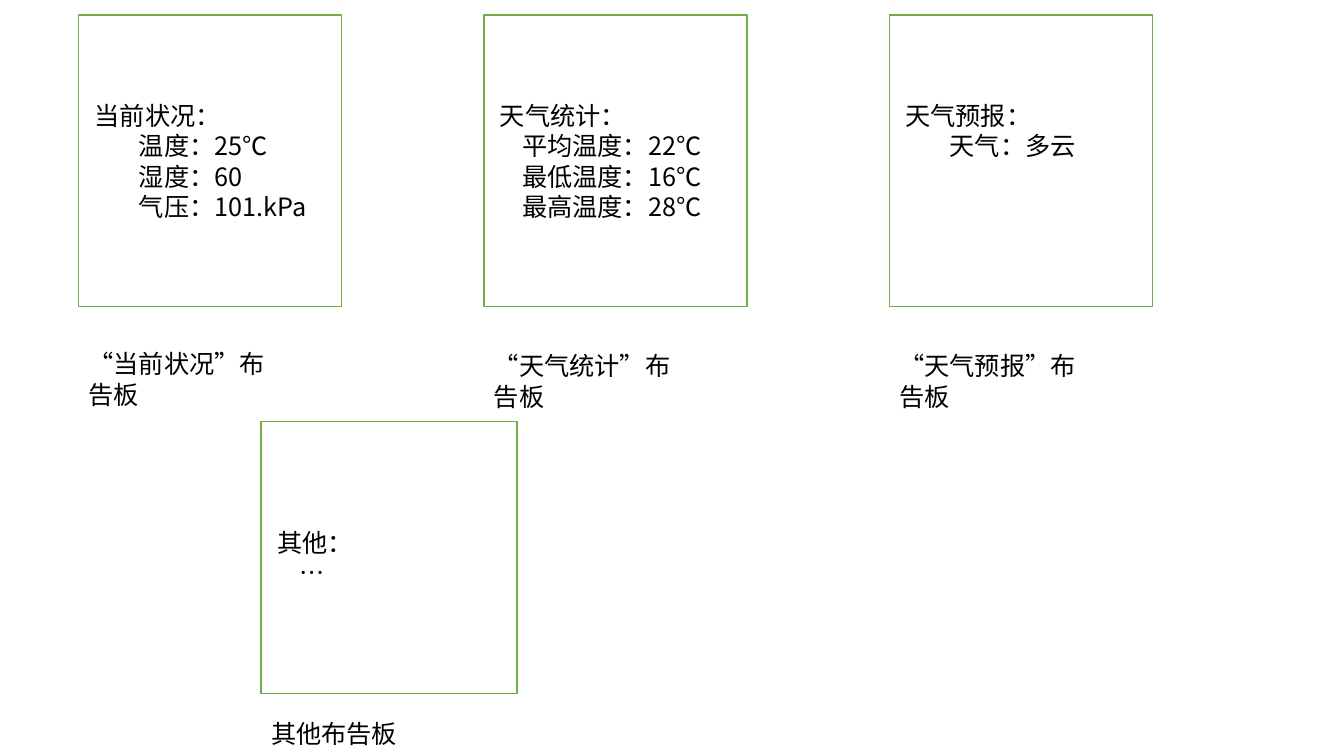
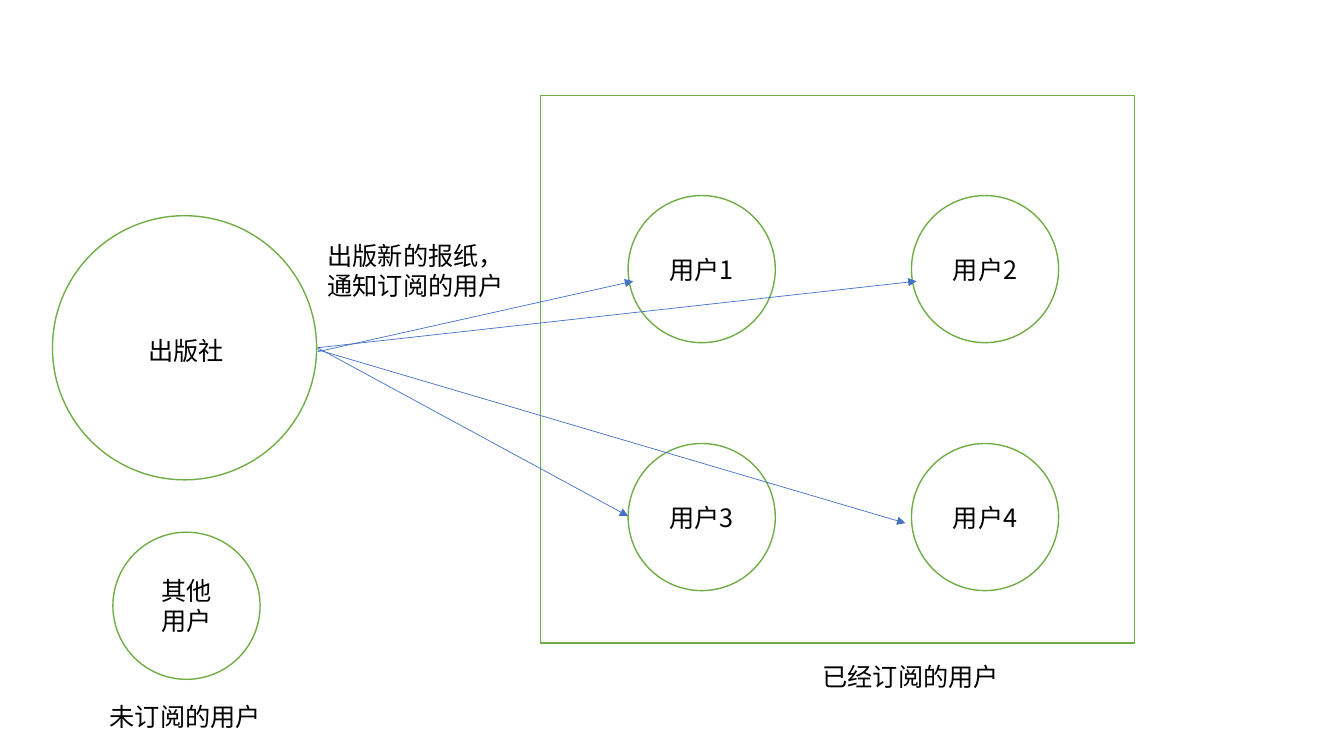
"""Build two slides on the observer pattern: weather boards and newspaper subscribers."""
from lxml import etree
from pptx import Presentation
from pptx.dml.color import RGBColor
from pptx.enum.dml import MSO_LINE
from pptx.enum.shapes import MSO_CONNECTOR, MSO_SHAPE
from pptx.enum.text import MSO_ANCHOR, PP_ALIGN
from pptx.oxml.ns import qn
from pptx.util import Inches, Pt

RECTANGLE, OVAL = MSO_SHAPE.RECTANGLE, MSO_SHAPE.OVAL
STRAIGHT, SOLID = MSO_CONNECTOR.STRAIGHT, MSO_LINE.SOLID
TOP, MIDDLE = MSO_ANCHOR.TOP, MSO_ANCHOR.MIDDLE
LEFT, CENTER = PP_ALIGN.LEFT, PP_ALIGN.CENTER
COLORS = {name: RGBColor.from_string(value) for name, value in {
    "paper": "FFFFFF", "outline": "70AD47", "arrow": "4472C4", "text": "000000"}.items()}
FONT = "Noto Sans CJK SC"
FONT_SIZE = Pt(18)
LINE_HEIGHT = 0.3
LABEL_HEIGHT = 0.4


def write(shape, lines, alignment=LEFT, anchor=TOP, indents=(0, 0)):
    frame = shape.text_frame
    frame.word_wrap = True
    frame.vertical_anchor = anchor
    frame.text = "\n".join(lines)
    for index, paragraph in enumerate(frame.paragraphs):
        paragraph.alignment = alignment
        paragraph._p.get_or_add_pPr().set("marL", str(Inches(indents[min(index, 1)])))
        for run in paragraph.runs:
            run.font.size = FONT_SIZE
            run.font.name = FONT
            run.font.color.rgb = COLORS["text"]
            etree.SubElement(run._r.get_or_add_rPr(), qn("a:ea"), typeface=FONT)


def add_outline(shapes, kind, left, top, width, height):
    shape = shapes.add_shape(kind, Inches(left), Inches(top), Inches(width), Inches(height))
    shape.shadow.inherit = False
    shape.fill.solid()
    shape.fill.fore_color.rgb = COLORS["paper"]
    shape.line.color.rgb = COLORS["outline"]
    shape.line.width = Pt(1)
    return shape


presentation = Presentation()
presentation.slide_width, presentation.slide_height = Inches(13.33), Inches(7.5)
blank = presentation.slide_layouts[6]
boards_slide, users_slide = [presentation.slides.add_slide(blank) for _ in range(2)]

BOARD_LEFT, BOARD_STEP, BOARD_TOP = 0.78, 4.02, 0.15
BOARD_SIZE = (2.61, 2.89)
boards = [
    (BOARD_LEFT, BOARD_TOP, BOARD_SIZE, 0.5, 0,
     ["当前状况：", "温度：25℃", "湿度：60", "气压：101.kPa"], "“当前状况”布告板", 3.41, 2.15),
    (BOARD_LEFT + BOARD_STEP, BOARD_TOP, BOARD_SIZE, 0.28, 0,
     ["天气统计：", "平均温度：22℃", "最低温度：16℃", "最高温度：28℃"], "“天气统计”布告板", 3.43, 2.15),
    (BOARD_LEFT + 2 * BOARD_STEP, BOARD_TOP, BOARD_SIZE, 0.5, 2,
     ["天气预报：", "天气：多云"], "“天气预报”布告板", 3.43, 2.15),
    (2.59, 4.18, (2.54, 2.7), 0.28, 0, ["其他：", "…"], "其他布告板", 7.08, 1.46),
]
labels = []
for left, top, size, indent, spare_lines, lines, caption, caption_top, caption_width in boards:
    board = add_outline(boards_slide.shapes, RECTANGLE, left, top, *size)
    write(board, lines, anchor=MIDDLE, indents=(0.06, indent))
    board.text_frame.margin_bottom = Inches(0.05 + spare_lines * LINE_HEIGHT)
    labels.append((boards_slide.shapes, caption, left, caption_top, caption_width, LABEL_HEIGHT))

publisher = users_slide.shapes.add_group_shape()
add_outline(publisher.shapes, OVAL, 0.52, 2.14, 2.62, 2.62)

USER_SIZE = 1.46
USER_LEFTS, USER_TOPS = (6.23, 9.04), (1.94, 4.4)
subscribers = users_slide.shapes.add_group_shape()
add_outline(subscribers.shapes, RECTANGLE, 5.36, 0.95, 5.89, 5.43)
users = [(subscribers.shapes, [f"用户{2 * row + column + 1}"], left, top)
         for row, top in enumerate(USER_TOPS) for column, left in enumerate(USER_LEFTS)]
users.append((users_slide.shapes, ["其他", "用户"], 1.12, 5.28))
for shapes, lines, left, top in users:
    user = add_outline(shapes, OVAL, left, top, USER_SIZE, USER_SIZE)
    write(user, lines, CENTER, MIDDLE)

ARROW_LEFT = 3.15
for start_y, end_x, end_y in [(3.49, 6.28, 2.79), (3.45, 9.09, 2.79),
                              (3.45, 6.23, 5.12), (3.47, 8.98, 5.19)]:
    arrow = users_slide.shapes.add_connector(
        STRAIGHT, Inches(ARROW_LEFT), Inches(start_y), Inches(end_x), Inches(end_y))
    arrow.line.color.rgb = COLORS["arrow"]
    arrow.line.width = Pt(0.5)
    arrow.line.dash_style = SOLID
    etree.SubElement(arrow.line._get_or_add_ln(), qn("a:tailEnd"), type="triangle")
    etree.SubElement(arrow._element.spPr, qn("a:effectLst"))

labels += [
    (publisher.shapes, "出版社", 1.37, 3.28, 0.96, LABEL_HEIGHT),
    (users_slide.shapes, "出版新的报纸，通知订阅的用户", ARROW_LEFT, 2.33, 1.97, 0.71),
    (users_slide.shapes, "已经订阅的用户", 8.06, 6.51, 1.97, LABEL_HEIGHT),
    (users_slide.shapes, "未订阅的用户", 0.99, 6.91, 1.72, LABEL_HEIGHT),
]
for shapes, text, left, top, width, height in labels:
    label = shapes.add_textbox(Inches(left), Inches(top), Inches(width), Inches(height))
    write(label, [text])

presentation.save("out.pptx")
